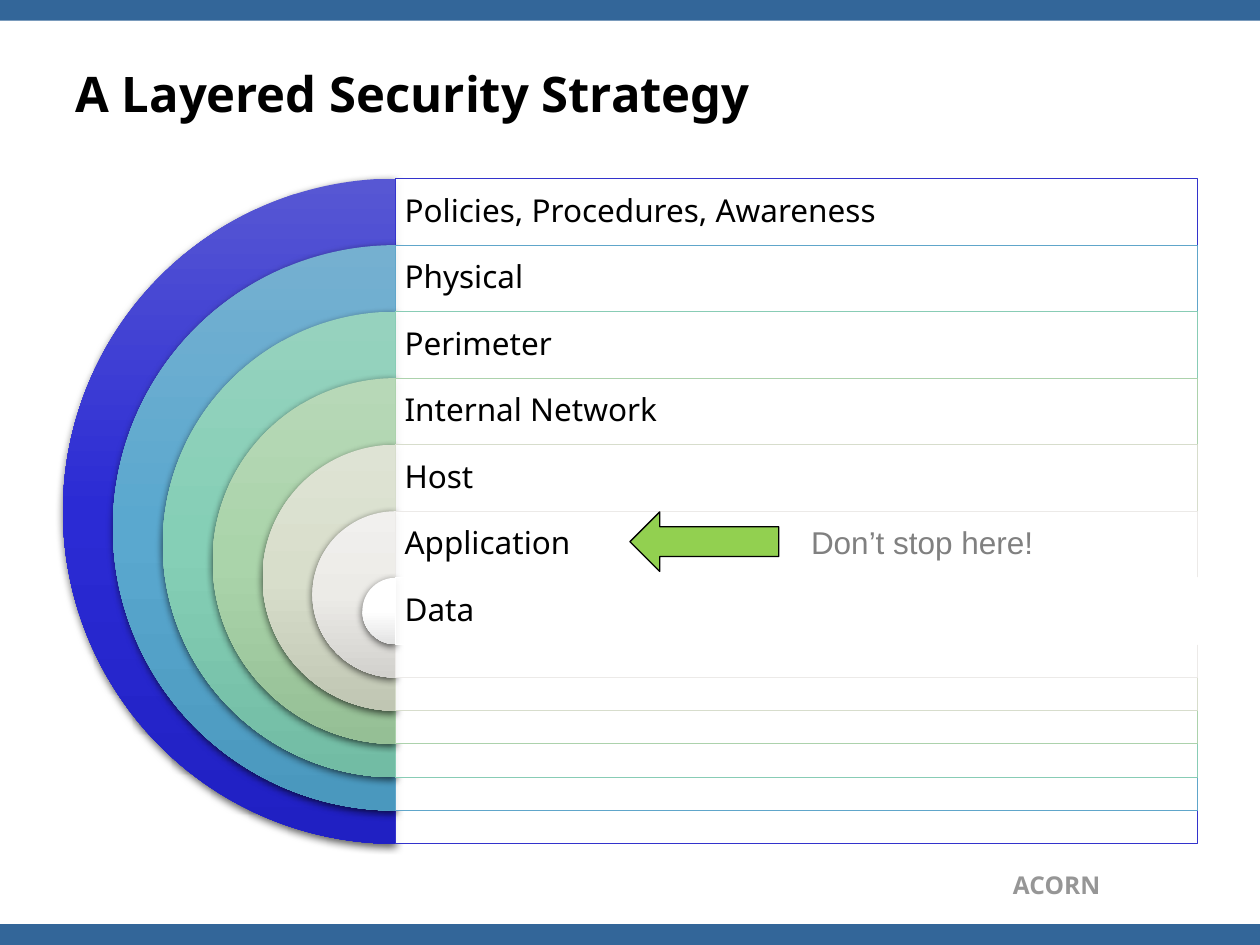
from lxml.etree import SubElement
from pptx import Presentation
from pptx.dml.color import RGBColor
from pptx.enum.shapes import MSO_SHAPE as Shape
from pptx.enum.text import MSO_ANCHOR as Anchor, PP_ALIGN as Align
from pptx.oxml.ns import qn
from pptx.util import Cm, Pt

LAYERS = [
    ("Policies, Procedures, Awareness", "3333CC", ("5757D3", "2B2BD4", "2020C3")),
    ("Physical", "60A6CA", ("75B0D0", "5AA8CF", "4A98BE")),
    ("Perimeter", "88CCB5", ("96D2BE", "85CFB6", "72BCA4")),
    ("Internal Network", "ACD2AC", ("B7D8B7", "AAD4AA", "95BF95")),
    ("Host", "D7DDCC", ("DEE3D4", "D8DECB", "C0C6B3")),
    ("Application", "ECEAE8", ("F1F0EE", "ECEBE7", "D2D1CD")),
    ("Data", "FFFFFF", ("FFFFFF", "FFFFFF", "E3E3E3")),
]


def paint(target, color):
    if hasattr(target, "solid"):
        target.solid()
        target = target.fore_color
    target.rgb = RGBColor.from_string(color)


def add_shape(page, kind, box, fill=None, line=None, width=0.5):
    shape = page.shapes.add_shape(kind, *map(Cm, box))
    shape.shadow.inherit = False
    if fill:
        paint(shape.fill, fill)
    if line:
        paint(shape.line.fill, line)
        shape.line.width = Pt(width)
    else:
        shape.line.fill.background()
    return shape


def add_text(page, box, text, size, color="000000", font="Noto Sans",
             bold=False, align=Align.LEFT, anchor=Anchor.TOP, inset=None, spacing=None):
    frame = page.shapes.add_textbox(*map(Cm, box)).text_frame
    frame.word_wrap = True
    frame.vertical_anchor = anchor
    if inset is not None:
        frame.margin_left = frame.margin_right = Cm(inset)
        frame.margin_top = frame.margin_bottom = Cm(inset)
    para = frame.paragraphs[0]
    para.text = text
    para.alignment = align
    para.line_spacing = spacing
    para.font.name, para.font.size, para.font.bold = font, Pt(size), bold
    paint(para.font.fill, color)


def add_color(parent, color, alpha=None):
    node = SubElement(parent, qn("a:srgbClr"), val=color)
    if alpha:
        SubElement(node, qn("a:alpha"), val=str(alpha * 1000))


def shade(shape, colors):
    shape.fill.gradient()
    shape.fill.gradient_angle = 270
    stops = shape.element.spPr.find(".//" + qn("a:gsLst"))
    stops.clear()
    for place, color in zip((0, 50, 100), colors):
        add_color(SubElement(stops, qn("a:gs"), pos=str(place * 1000)), color)


def cast_shadow(shape):
    effects = shape.element.spPr.find(qn("a:effectLst"))
    shadow = SubElement(effects, qn("a:outerShdw"), blurRad=str(Pt(4.5)),
                        dist=str(Pt(1.5)), dir="5400000", rotWithShape="0")
    add_color(shadow, "000000", 63)


def add_half_disc(page, box, colors):
    disc = add_shape(page, Shape.PIE, box)
    disc.adjustments[0], disc.adjustments[1] = 54, 162
    shade(disc, colors)
    cast_shadow(disc)


def add_panel(page, box, line):
    panel = add_shape(page, Shape.RECTANGLE, box, "FFFFFF", line)
    color = panel.element.spPr.find(qn("a:solidFill")).find(qn("a:srgbClr"))
    SubElement(color, qn("a:alpha"), val="90000")


def add_layers(page, box):
    left, top, width, height = box
    step = height / 10
    center = left + height / 2
    panel_width = left + width - center
    for index, (label, line, colors) in enumerate(LAYERS):
        size = height - 1.5 * step * index
        level = top + step * index
        add_half_disc(page, (center - size / 2, level, size, size), colors)
        add_panel(page, (center, level, panel_width, size), line)
        add_text(page, (center, level, panel_width, step), label, 18,
                 anchor=Anchor.MIDDLE, inset=0.18, spacing=0.9)


def add_callout(page, box):
    left, top, width, height = box
    add_shape(page, Shape.LEFT_ARROW, (left, top, 3, height), "92D050", "000000", 0.75)
    add_text(page, (left + 3.4, top, width - 3.4, height), "Don’t stop here!", 18,
             "808080", "Arial", anchor=Anchor.MIDDLE)


def add_frame(page, box):
    left, top, width, height = box
    for level in (top, top + height - 0.42):
        add_shape(page, Shape.RECTANGLE, (left, level, width, 0.42), "336699")
    add_text(page, (left + 15.8, top + 17.42, 6.63, 0.86), "ACORN", 14, "969696",
             bold=True, align=Align.RIGHT)
    add_text(page, (left + 1.27, top + 0.56, 22.86, 2.62), "A Layered Security Strategy",
             28, bold=True, anchor=Anchor.MIDDLE)


deck = Presentation()
deck.slide_width, deck.slide_height = Cm(25.4), Cm(19.05)
page = deck.slides.add_slide(deck.slide_layouts[6])
add_frame(page, (0, 0, 25.4, 19.05))
add_layers(page, (1.27, 3.6, 22.86, 13.41))
add_callout(page, (12.7, 10.32, 10.7, 1.2))
deck.save("out.pptx")
